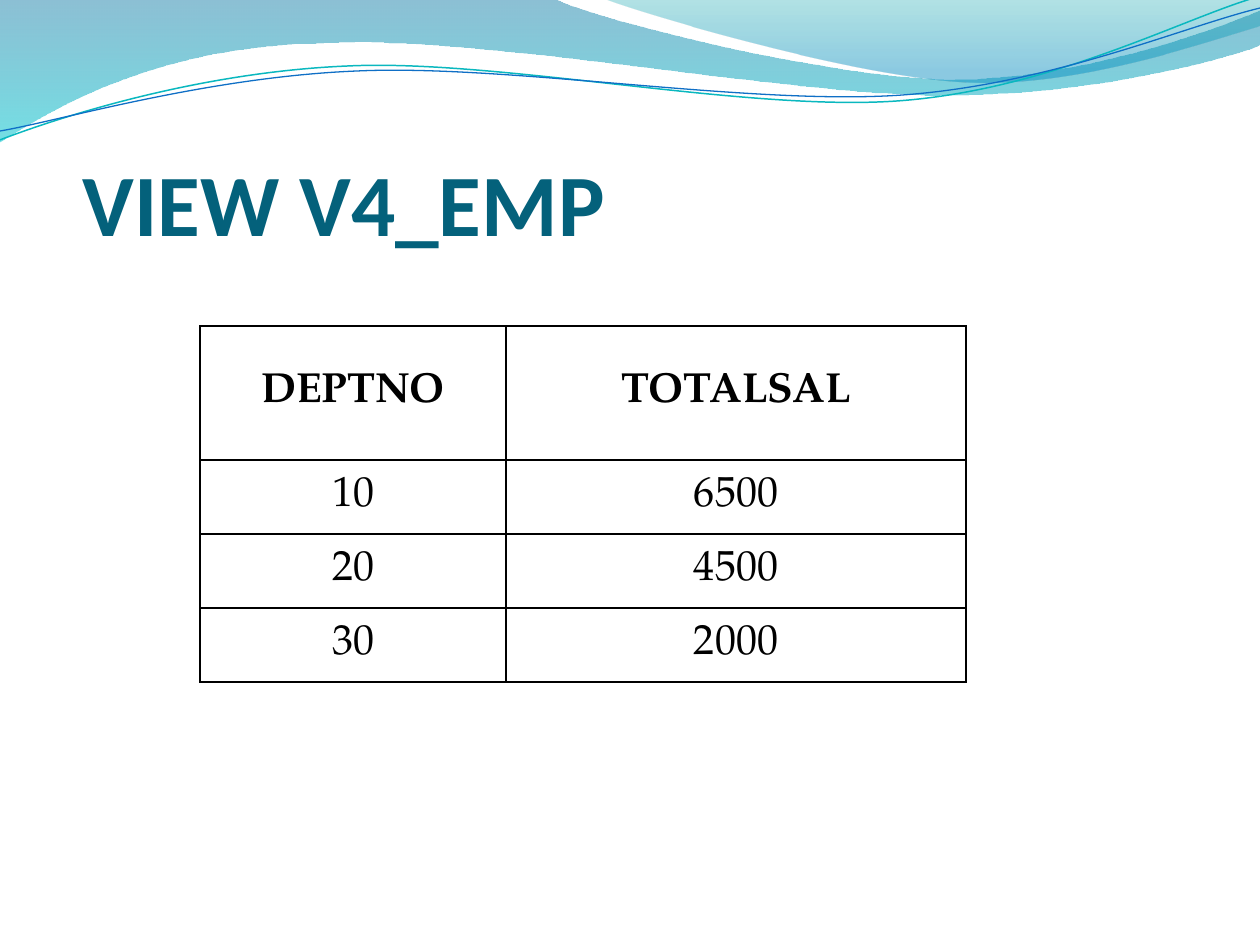
import math

import pptx
import pptx.dml.color
import pptx.enum.text
import pptx.oxml
import pptx.oxml.ns
import pptx.util

SCALE = 914400 / 126  # EMU per px
COLORS = {
    "title": "04617B", "text": "000000", "border": "000000",
    "wave_top": "0074A1", "wave_bottom": "00C6CF",
    "corner_top": "00A1A9", "corner_bottom": "008BBF",
    "teal_line": "0AB8BF", "blue_line": "0F6FC6",
}

TITLE = " VIEW V4_EMP"
ROWS = [("DEPTNO", "TOTALSAL"), ("10", "6500"), ("20", "4500"), ("30", "2000")]
COLUMN_WIDTHS = [306, 460]
ROW_HEIGHTS = [134, 74, 74, 74]

# An outline is a start point, then lines (x, y) and curves (two controls, end).
# Gradient stops are position, colour, opacity in percent.
WAVES = [
    {"outline": [(0, 0), (554, -1), (600, 21, 837, 79, 955, 79),
                 (1075, 79, 1207, 33, 1260, 11), (1261, 45),
                 (1239, 55, 1096, 96, 940, 95), (784, 95, 481, 35, 324, 43),
                 (163, 45, 58, 105, -1, 142)],
     "stops": [(0, "wave_top", 45), (1, "wave_bottom", 55)]},
    {"outline": [(604, -1), (641, 14, 859, 78, 969, 82),
                 (1079, 87, 1211, 40, 1260, 26), (1260, 0)],
     "stops": [(0, "corner_top", 30), (0.8, "corner_bottom", 45)]},
    {"outline": [(0, 140), (60, 117, 199, 72, 349, 66),
                 (498, 59, 747, 112, 898, 101), (1050, 90, 1182, 19, 1257, -3)],
     "line": ("teal_line", 0.85), "center": (629, 72), "tilt": -2.7},
    {"outline": [(0, 131), (59, 121, 207, 77, 357, 71),
                 (508, 64, 752, 106, 903, 95), (1053, 84, 1185, 26, 1260, 8)],
     "line": ("blue_line", 0.75), "center": (629, 74), "tilt": -2.7},
]


def px(length):
    return pptx.util.Emu(round(length * SCALE))


def rgb(name):
    return pptx.dml.color.RGBColor.from_string(COLORS[name])


def level(point, center, tilt):
    """Place a point as it lies before the shape is turned by tilt degrees."""
    angle = math.radians(-tilt)
    x, y = point[0] - center[0], point[1] - center[1]
    return (center[0] + x * math.cos(angle) - y * math.sin(angle),
            center[1] + x * math.sin(angle) + y * math.cos(angle))


def add_outline(page, wave):
    """Draw all points as a freeform, then join each curve's three points."""
    tilt = wave.get("tilt", 0)
    points = [level(pair, wave.get("center", (0, 0)), tilt)
              for segment in wave["outline"]
              for pair in zip(segment[::2], segment[1::2])]
    points = [(px(x), px(y)) for x, y in points]
    builder = page.shapes.build_freeform(*points[0], scale=1.0)
    builder.add_line_segments(points[1:], close="stops" in wave)
    shape = builder.convert_to_shape()
    shape.rotation = tilt % 360
    steps = iter(list(shape._element.spPr.iter(pptx.oxml.ns.qn("a:lnTo"))))
    for segment in wave["outline"][1:]:
        first = next(steps)
        if len(segment) == 2:
            continue
        curve = pptx.oxml.parse_xml(f'<a:cubicBezTo {pptx.oxml.ns.nsdecls("a")}/>')
        first.addprevious(curve)
        for step in (first, next(steps), next(steps)):
            curve.append(step[0])
            step.getparent().remove(step)
    return shape


def add_wave(page, wave):
    shape = add_outline(page, wave)
    shape.shadow.inherit = False
    if "line" in wave:
        color, width = wave["line"]
        shape.fill.background()
        shape.line.color.rgb = rgb(color)
        shape.line.width = pptx.util.Pt(width)
        return
    shape.line.fill.background()
    shape.fill.gradient()
    shape.fill.gradient_angle = 270
    for stop, (position, color, _) in zip(shape.fill.gradient_stops, wave["stops"]):
        stop.position = position
        stop.color.rgb = rgb(color)
    tints = shape._element.spPr.iter(pptx.oxml.ns.qn("a:srgbClr"))
    for tint, (_, _, opacity) in zip(tints, wave["stops"]):
        tint.append(pptx.oxml.parse_xml(
            f'<a:alpha {pptx.oxml.ns.nsdecls("a")} val="{opacity * 1000}"/>'))


def add_span(para, text, size, font, color, bold):
    span = para.add_run()
    span.text = text
    span.font.size = pptx.util.Pt(size)
    span.font.name = font
    span.font.bold = bold
    span.font.color.rgb = rgb(color)


def add_title(page):
    box = page.shapes.add_textbox(px(63), px(97), px(1134), px(157))
    frame = box.text_frame
    frame.word_wrap = True
    frame.vertical_anchor = pptx.enum.text.MSO_ANCHOR.BOTTOM
    frame.margin_left = frame.margin_right = frame.margin_bottom = 0
    frame.margin_top = px(6)
    add_span(frame.paragraphs[0], TITLE, 50, "Calibri", "title", True)


def add_borders(cell):
    properties = cell._tc.get_or_add_tcPr()
    for side in "LRTB":
        properties.append(pptx.oxml.parse_xml(
            f'<a:ln{side} {pptx.oxml.ns.nsdecls("a")} w="12700"><a:solidFill>'
            f'<a:srgbClr val="{COLORS["border"]}"/></a:solidFill></a:ln{side}>'))


def add_salary_table(page):
    table = page.shapes.add_table(
        len(ROWS), len(COLUMN_WIDTHS), px(200), px(326),
        px(sum(COLUMN_WIDTHS)), px(sum(ROW_HEIGHTS))).table
    table.first_row = table.horz_banding = False
    for column, width in zip(table.columns, COLUMN_WIDTHS):
        column.width = px(width)
    for row, height in zip(table.rows, ROW_HEIGHTS):
        row.height = px(height)
    for r, values in enumerate(ROWS):
        for c, value in enumerate(values):
            cell = table.cell(r, c)
            add_borders(cell)
            cell.fill.background()
            cell.vertical_anchor = pptx.enum.text.MSO_ANCHOR.MIDDLE
            para = cell.text_frame.paragraphs[0]
            para.alignment = pptx.enum.text.PP_ALIGN.CENTER
            add_span(para, value, 24, "TeX Gyre Pagella", "text", r == 0)


def main():
    deck = pptx.Presentation()
    deck.slide_width, deck.slide_height = px(1260), px(945)
    page = deck.slides.add_slide(deck.slide_layouts[6])
    for wave in WAVES:
        add_wave(page, wave)
    add_title(page)
    add_salary_table(page)
    deck.save("out.pptx")


if __name__ == "__main__":
    main()
